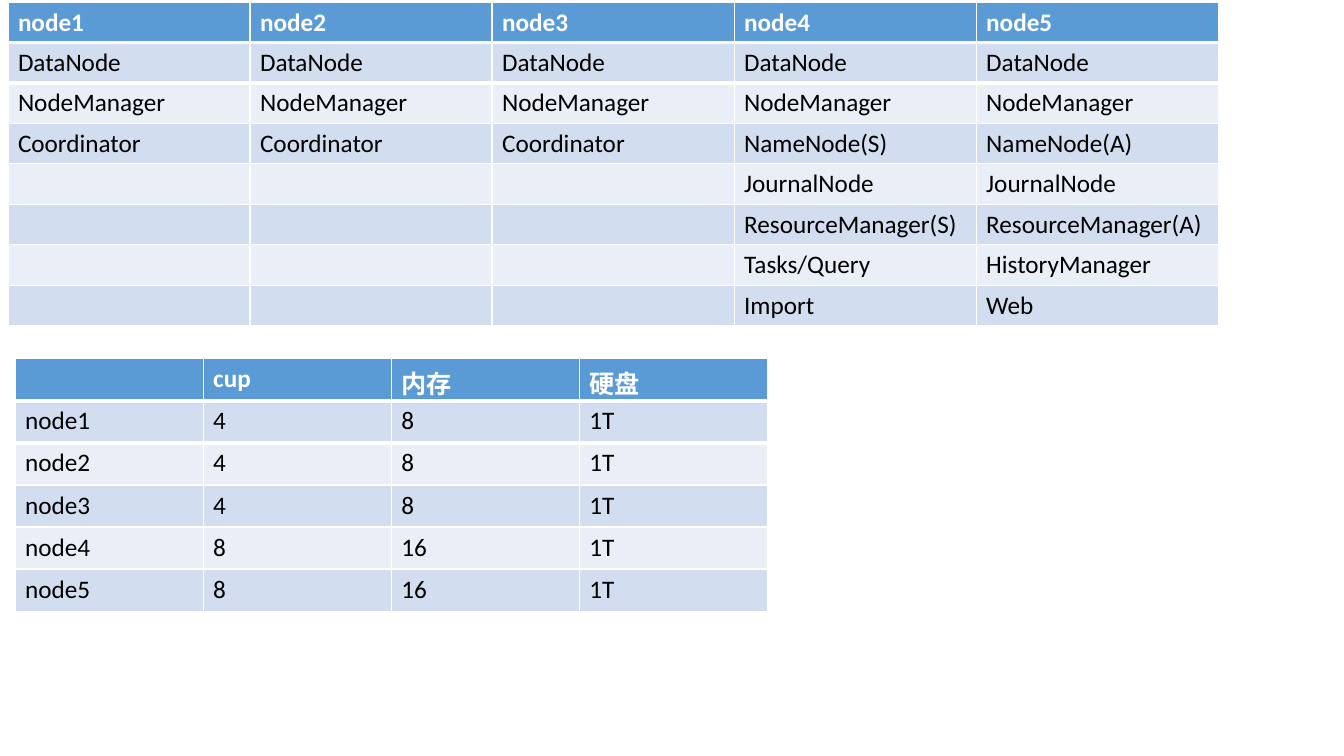
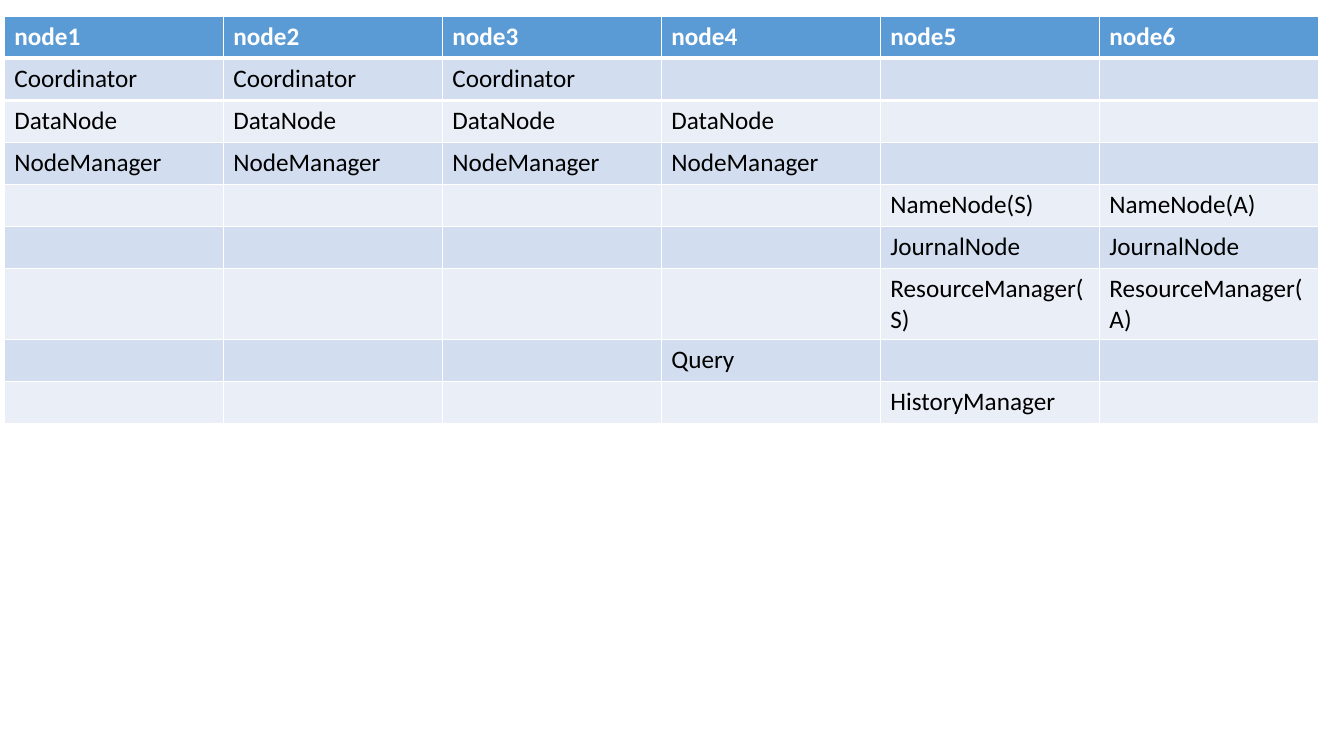
from lxml import etree
from pptx import Presentation
from pptx.dml.color import RGBColor
from pptx.oxml.ns import qn
from pptx.util import Cm, Pt

COLORS = {
    "header": "5B9BD5",
    "odd_row": "D2DEEF",
    "even_row": "EAEFF7",
    "header_text": "FFFFFF",
    "body_text": "000000",
    "rule": "FFFFFF",
}
BLANK_LAYOUT = 6
HEADER_RULE_EDGES = {0: "a:lnB", 1: "a:lnT"}


class Deck:
    """Holds the shared table style and the current slide."""

    font_name = "Calibri"
    font_size = Pt(18)
    header_rule_width = Pt(3)

    def __init__(self):
        self.presentation = Presentation()
        self.presentation.slide_width = Cm(33.87)
        self.presentation.slide_height = Cm(19.05)
        self.slide = None

    def add_slide(self):
        layout = self.presentation.slide_layouts[BLANK_LAYOUT]
        self.slide = self.presentation.slides.add_slide(layout)

    def add_table(self, left, top, column_width, row_height, rows):
        row_count, column_count = len(rows), len(rows[0])
        table = self.slide.shapes.add_table(
            row_count, column_count, Cm(left), Cm(top),
            Cm(column_width * column_count), Cm(row_height * row_count),
        ).table
        for column in table.columns:
            column.width = Cm(column_width)
        for row_index, texts in enumerate(rows):
            table.rows[row_index].height = Cm(row_height)
            for column_index, text in enumerate(texts):
                self.format_cell(table.cell(row_index, column_index), text, row_index)
        return table

    def format_cell(self, cell, text, row_index):
        is_header = row_index == 0
        band = "odd_row" if row_index % 2 else "even_row"
        cell.fill.solid()
        cell.fill.fore_color.rgb = self.color("header" if is_header else band)
        cell.margin_bottom = 0
        cell.text = text
        font = cell.text_frame.paragraphs[0].font
        font.name = self.font_name
        font.size = self.font_size
        font.bold = is_header
        font.color.rgb = self.color("header_text" if is_header else "body_text")
        if row_index in HEADER_RULE_EDGES:
            self.add_header_rule(cell, HEADER_RULE_EDGES[row_index])

    def add_header_rule(self, cell, edge):
        line = etree.Element(qn(edge), w=str(self.header_rule_width))
        fill = etree.SubElement(line, qn("a:solidFill"))
        etree.SubElement(fill, qn("a:srgbClr"), val=COLORS["rule"])
        cell._tc.get_or_add_tcPr().insert(0, line)

    def color(self, name):
        return RGBColor.from_string(COLORS[name])


def node_names(count):
    return [f"node{number}" for number in range(1, count + 1)]


deck = Deck()

deck.add_slide()
deck.add_table(0.2, 0.05, 6.1, 1.02, [
    node_names(5),
    ["DataNode"] * 5,
    ["NodeManager"] * 5,
    ["Coordinator"] * 3 + ["NameNode(S)", "NameNode(A)"],
    [""] * 3 + ["JournalNode"] * 2,
    [""] * 3 + ["ResourceManager(S)", "ResourceManager(A)"],
    [""] * 3 + ["Tasks/Query", "HistoryManager"],
    [""] * 3 + ["Import", "Web"],
])
hardware = [("4", "8", "1T")] * 3 + [("8", "16", "1T")] * 2
deck.add_table(0.38, 9.04, 4.74, 1.06, [
    ["", "cup", "内存", "硬盘"],
    *([name, *values] for name, values in zip(node_names(5), hardware)),
])

deck.add_slide()
roles = deck.add_table(0.11, 0.41, 5.52, 1.06, [
    node_names(6),
    ["Coordinator"] * 3 + [""] * 3,
    ["DataNode"] * 4 + [""] * 2,
    ["NodeManager"] * 4 + [""] * 2,
    [""] * 4 + ["NameNode(S)", "NameNode(A)"],
    [""] * 4 + ["JournalNode"] * 2,
    [""] * 4 + ["ResourceManager(S)", "ResourceManager(A)"],
    [""] * 3 + ["Query"] + [""] * 2,
    [""] * 4 + ["HistoryManager", ""],
])
roles.rows[6].height = Cm(1.78)

deck.presentation.save("out.pptx")
